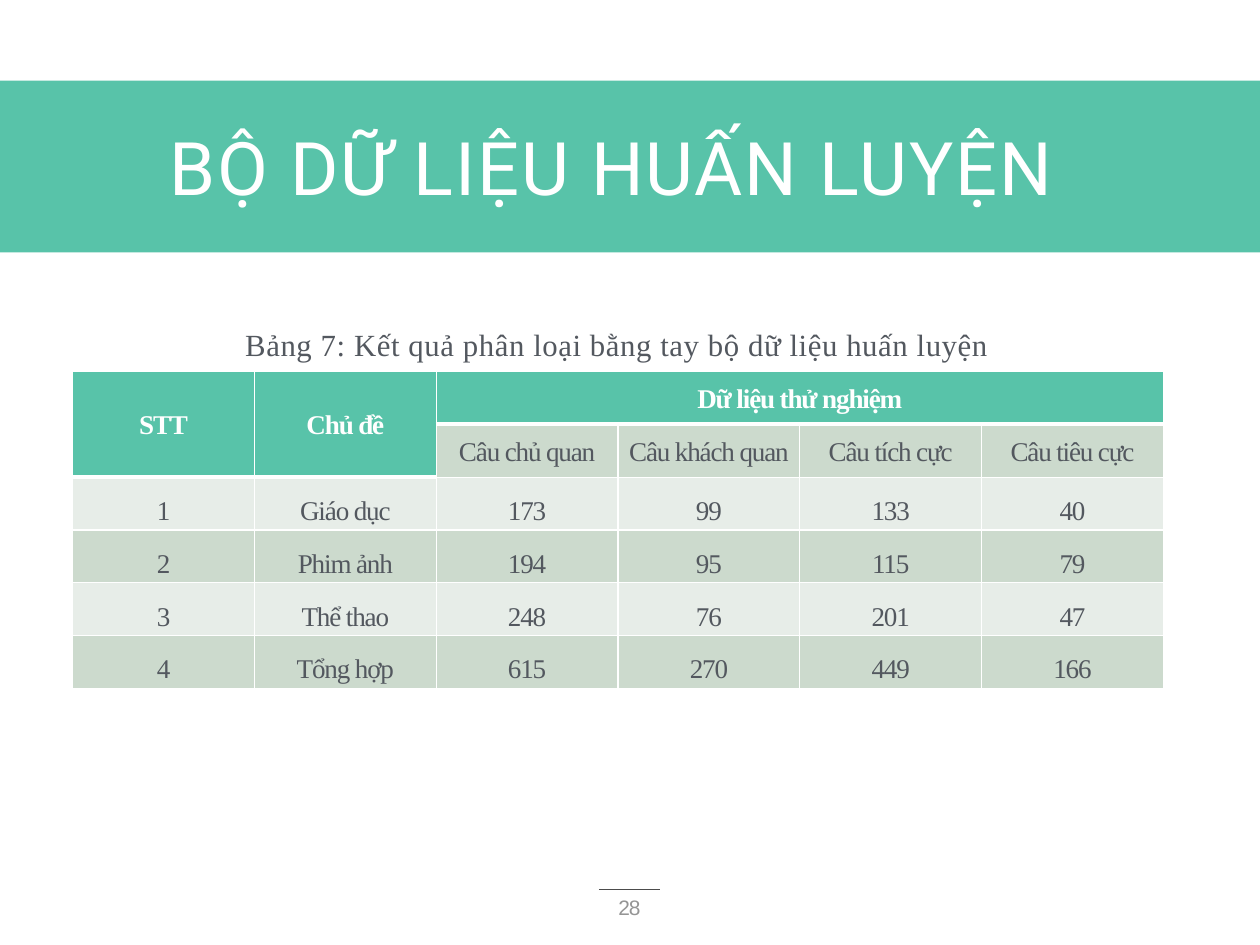
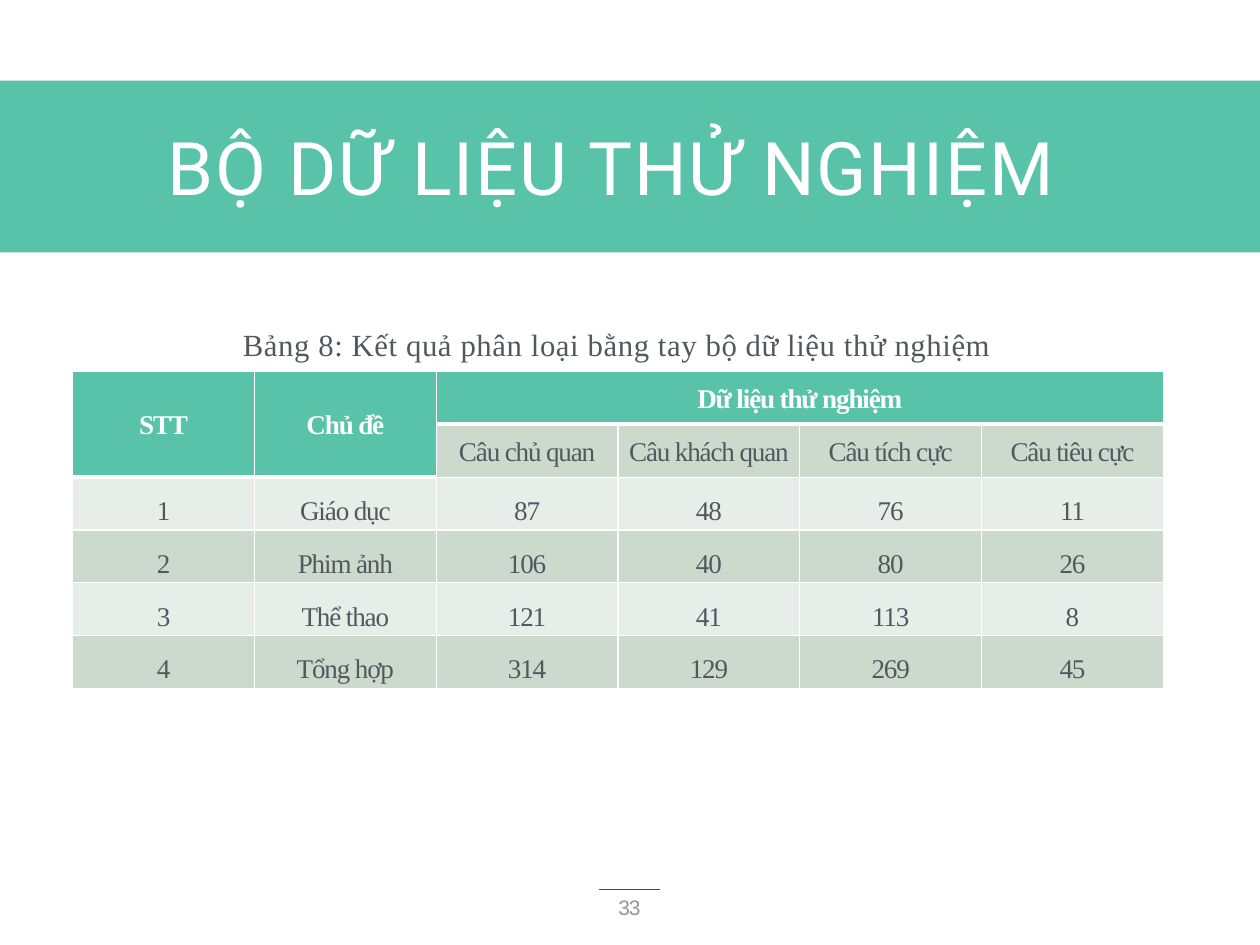
from pptx import Presentation
from pptx.dml.color import RGBColor
from pptx.enum.shapes import MSO_CONNECTOR, MSO_SHAPE
from pptx.enum.text import MSO_ANCHOR, PP_ALIGN
from pptx.oxml.ns import qn
from pptx.util import Inches, Pt
from lxml.etree import SubElement

TEAL, GREEN, PALE = "58C3A9", "CCDACD", "E7EDE8"
WHITE, INK, GREY, RULE = "FFFFFF", "53585F", "959595", "4C4C4C"
SERIF = "Times New Roman"
WIDTH, HEIGHT = 14.22, 10.67

TOPICS = ["Giáo dục", "Phim ảnh", "Thể thao", "Tổng hợp"]
HEADS = ["STT", "Chủ đề", "Dữ liệu thử nghiệm"]
KINDS = ["Câu chủ quan", "Câu khách quan", "Câu tích cực", "Câu tiêu cực"]
SLIDES = [
    {
        "title": "BỘ DỮ LIỆU HUẤN LUYỆN",
        "caption": "Bảng 7: Kết quả phân loại bằng tay bộ dữ liệu huấn luyện",
        "page": 28,
        "counts": [(173, 99, 133, 40), (194, 95, 115, 79),
                   (248, 76, 201, 47), (615, 270, 449, 166)],
    },
    {
        "title": "BỘ DỮ LIỆU THỬ NGHIỆM",
        "caption": "Bảng 8: Kết quả phân loại bằng tay bộ dữ liệu thử nghiệm",
        "page": 33,
        "counts": [(87, 48, 76, 11), (106, 40, 80, 26),
                   (121, 41, 113, 8), (314, 129, 269, 45)],
    },
]


def rgb(color):
    return RGBColor.from_string(color)


def write(frame, text, size, font, color, track, lines=1.0, bold=False):
    """Set one centred paragraph; track is the letter spacing in points."""
    frame.text = text
    para = frame.paragraphs[0]
    para.alignment = PP_ALIGN.CENTER
    para.line_spacing = lines
    run = para.runs[0]
    run.font.size, run.font.name, run.font.bold = Pt(size), font, bold
    run.font.color.rgb = rgb(color)
    run._r.get_or_add_rPr().set("spc", str(round(track * 100)))
    return para


def add_text(slide, box, text, *style, anchor=MSO_ANCHOR.MIDDLE, inset=True):
    frame = slide.shapes.add_textbox(*map(Inches, box)).text_frame
    frame.word_wrap = True
    frame.vertical_anchor = anchor
    if not inset:
        frame.margin_left = frame.margin_right = 0
        frame.margin_top = frame.margin_bottom = 0
    write(frame, text, *style)


def add_frame(slide, title, page):
    """Draw the title band and the page number with its rule."""
    band = slide.shapes.add_shape(MSO_SHAPE.RECTANGLE, 0, Inches(0.91),
                                  Inches(WIDTH), Inches(1.94))
    band.shadow.inherit = False
    band.fill.solid()
    band.fill.fore_color.rgb = rgb(TEAL)
    band.line.fill.background()
    rule = slide.shapes.add_connector(MSO_CONNECTOR.STRAIGHT, Inches(6.76),
                                      Inches(10.04), Inches(7.45), Inches(10.04))
    rule.line.color.rgb = rgb(RULE)
    rule.line.width = Pt(0.5)
    SubElement(rule._element.spPr, qn("a:effectLst"))
    add_text(slide, (1.14, 1.11, 11.52, 1.53), title,
             60, "Roboto", WHITE, 1.6, inset=False)
    add_text(slide, (6.82, 10.05, 0.57, 0.42), str(page),
             17, "Arial", GREY, -0.9, 0.9)


def paint(cell, fill, bottom=1):
    """Give a cell white borders and a fill; bottom is a width in points."""
    props = cell._tc.get_or_add_tcPr()
    for side, width in (("L", 1), ("R", 1), ("T", 1), ("B", bottom)):
        line = SubElement(props, qn(f"a:ln{side}"), w=str(Pt(width)))
        solid = SubElement(line, qn("a:solidFill"))
        SubElement(solid, qn("a:srgbClr"), val=WHITE)
    cell.fill.solid()
    cell.fill.fore_color.rgb = rgb(fill)
    cell.vertical_anchor = MSO_ANCHOR.MIDDLE


def add_counts(slide, counts):
    rows = [HEADS + [""] * 3, ["", ""] + KINDS]
    rows += [[i, topic, *nums]
             for i, (topic, nums) in enumerate(zip(TOPICS, counts), 1)]
    table = slide.shapes.add_table(len(rows), 6, Inches(0.82), Inches(4.19),
                                   Inches(12.31), Inches(3.59)).table
    for start, end in (((0, 0), (1, 0)), ((0, 1), (1, 1)), ((0, 2), (0, 5))):
        table.cell(*start).merge(table.cell(*end))
    for r, row in enumerate(rows):
        for c, value in enumerate(row):
            cell = table.cell(r, c)
            head = r == 0 or (r == 1 and c < 2)
            fill = TEAL if head else GREEN if r % 2 else PALE
            paint(cell, fill, 3 if head else 1)
            if cell.is_spanned:
                continue
            para = write(cell.text_frame, str(value), 22, SERIF,
                         WHITE if head else INK, -0.9,
                         1.1 if r < 2 else 1.5, head)
            if r > 1:
                cell.margin_left = cell.margin_right = Inches(0.07)
                cell.margin_top = cell.margin_bottom = 0
                para.space_after = Pt(6)


def main():
    deck = Presentation()
    deck.slide_width, deck.slide_height = Inches(WIDTH), Inches(HEIGHT)
    for item in SLIDES:
        slide = deck.slides.add_slide(deck.slide_layouts[6])
        add_frame(slide, item["title"], item["page"])
        add_text(slide, (0.81, 3.59, 12.31, 0.56), item["caption"],
                 25, SERIF, INK, 0.5, 1.1, anchor=MSO_ANCHOR.TOP)
        add_counts(slide, item["counts"])
    deck.save("out.pptx")


if __name__ == "__main__":
    main()
